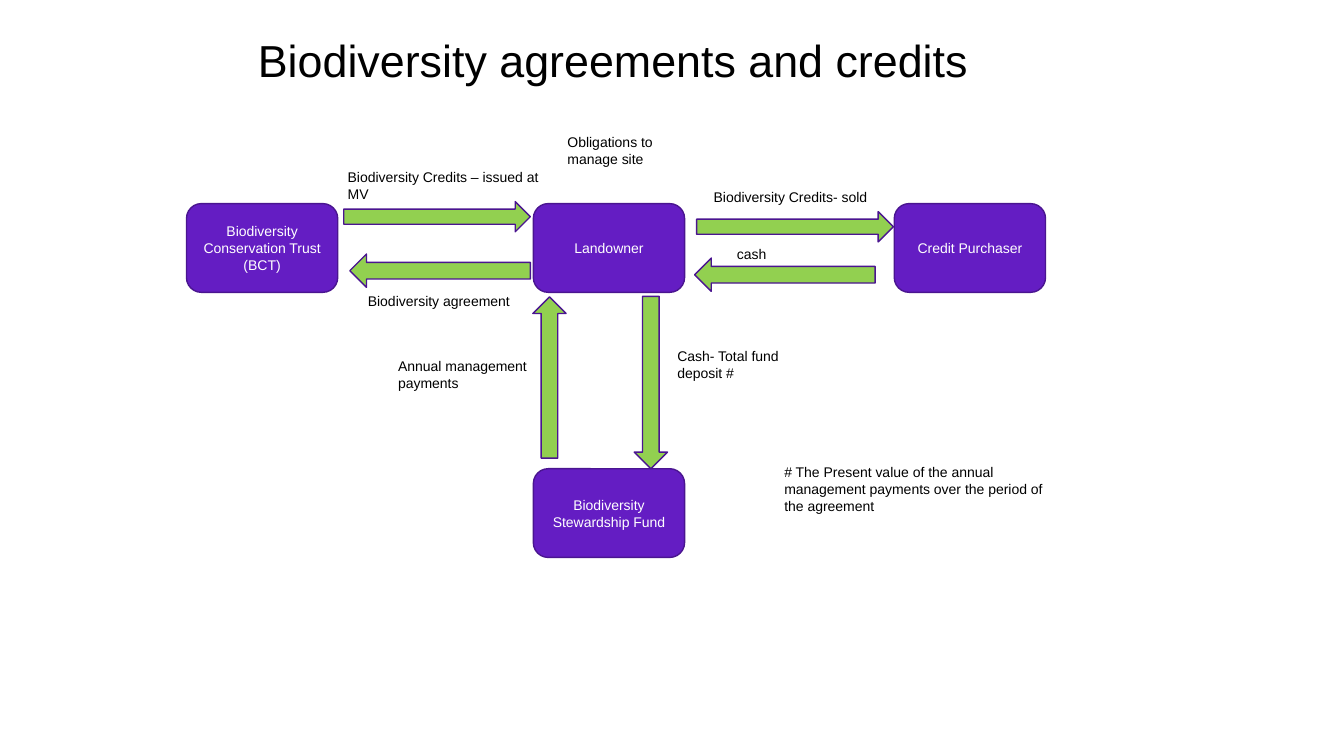
from pptx import Presentation
from pptx.dml.color import RGBColor
from pptx.enum.shapes import MSO_SHAPE
from pptx.enum.text import MSO_ANCHOR, PP_ALIGN
from pptx.util import Inches, Pt

BOX = MSO_SHAPE.ROUNDED_RECTANGLE
ARROW = MSO_SHAPE.RIGHT_ARROW
MIDDLE = MSO_ANCHOR.MIDDLE
CENTER = PP_ALIGN.CENTER

COLORS = {"purple": "641DC3", "outline": "4A1590", "green": "92D050",
          "white": "FFFFFF", "black": "000000"}
BOX_W, BOX_H = 1.5, 0.88
TOP_ROW, BOTTOM_ROW = 2.02, 4.65

prs = Presentation()
prs.slide_width, prs.slide_height = Inches(13.33), Inches(7.5)
slide = prs.slides.add_slide(prs.slide_layouts[6])


def add_figure(kind, x, y, w, h, fill):
    sp = slide.shapes.add_shape(kind, Inches(x), Inches(y), Inches(w), Inches(h))
    sp.shadow.inherit = False
    sp.fill.solid()
    sp.fill.fore_color.rgb = RGBColor.from_string(COLORS[fill])
    sp.line.color.rgb = RGBColor.from_string(COLORS["outline"])
    sp.line.width = Pt(1)
    return sp


def write(sp, text, size, color):
    tf = sp.text_frame
    tf.word_wrap = True
    p = tf.paragraphs[0]
    r = p.add_run()
    r.text = text
    for name, value in {"name": "Arial", "size": Pt(size)}.items():
        setattr(r.font, name, value)
    r.font.color.rgb = RGBColor.from_string(COLORS[color])
    return tf


# Parties: left, top, name
parties = [
    (1.85, TOP_ROW, "Biodiversity Conservation Trust (BCT)"),
    (5.29, TOP_ROW, "Landowner"),
    (8.87, TOP_ROW, "Credit Purchaser"),
    (5.29, BOTTOM_ROW, "Biodiversity Stewardship Fund"),
]
for x, y, name in parties:
    sp = add_figure(BOX, x, y, BOX_W, BOX_H, "purple")
    tf = write(sp, name, 10, "white")
    tf.vertical_anchor = MIDDLE
    tf.paragraphs[0].alignment = CENTER

# Flows between parties: left, top, length, thickness, rotation
flows = [
    (3.41, 2.0, 1.85, 0.3, 0),
    (3.47, 2.52, 1.79, 0.33, 180),
    (6.91, 2.1, 1.95, 0.3, 0),
    (6.89, 2.56, 1.79, 0.33, 180),
    (5.6, 3.63, 1.71, 0.33, 90),
    (4.65, 3.58, 1.6, 0.33, 270),
]
for x, y, length, thickness, rotation in flows:
    add_figure(ARROW, x, y, length, thickness, "green").rotation = rotation

# Title and labels: left, top, width, height, size, text
labels = [
    (2.46, 0.28, 7.33, 0.64, 32, "Biodiversity agreements and credits"),
    (5.53, 1.28, 1.26, 0.44, 10, "Obligations to manage site"),
    (3.35, 1.62, 2.25, 0.44, 10, "Biodiversity Credits – issued at MV"),
    (3.55, 2.85, 2.25, 0.27, 10, "Biodiversity agreement"),
    (6.98, 1.82, 2.25, 0.27, 10, "Biodiversity Credits- sold"),
    (7.21, 2.39, 0.94, 0.27, 10, "cash"),
    (3.85, 3.5, 1.5, 0.44, 10, "Annual management payments"),
    (6.62, 3.4, 1.36, 0.44, 10, "Cash- Total fund deposit #"),
    (7.68, 4.55, 2.98, 0.61, 10,
     "# The Present value of the annual management payments "
     "over the period of the agreement"),
]
for x, y, w, h, size, text in labels:
    sp = slide.shapes.add_textbox(Inches(x), Inches(y), Inches(w), Inches(h))
    write(sp, text, size, "black")

prs.save("out.pptx")
